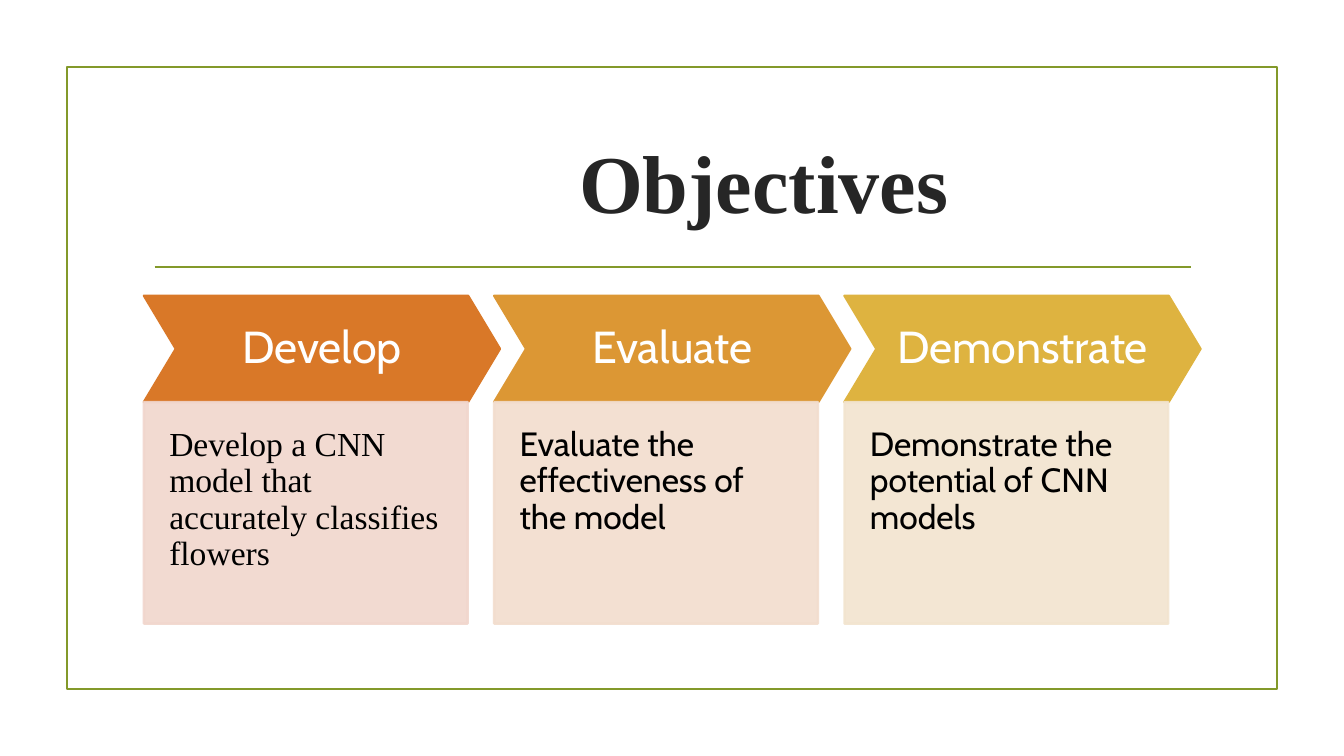
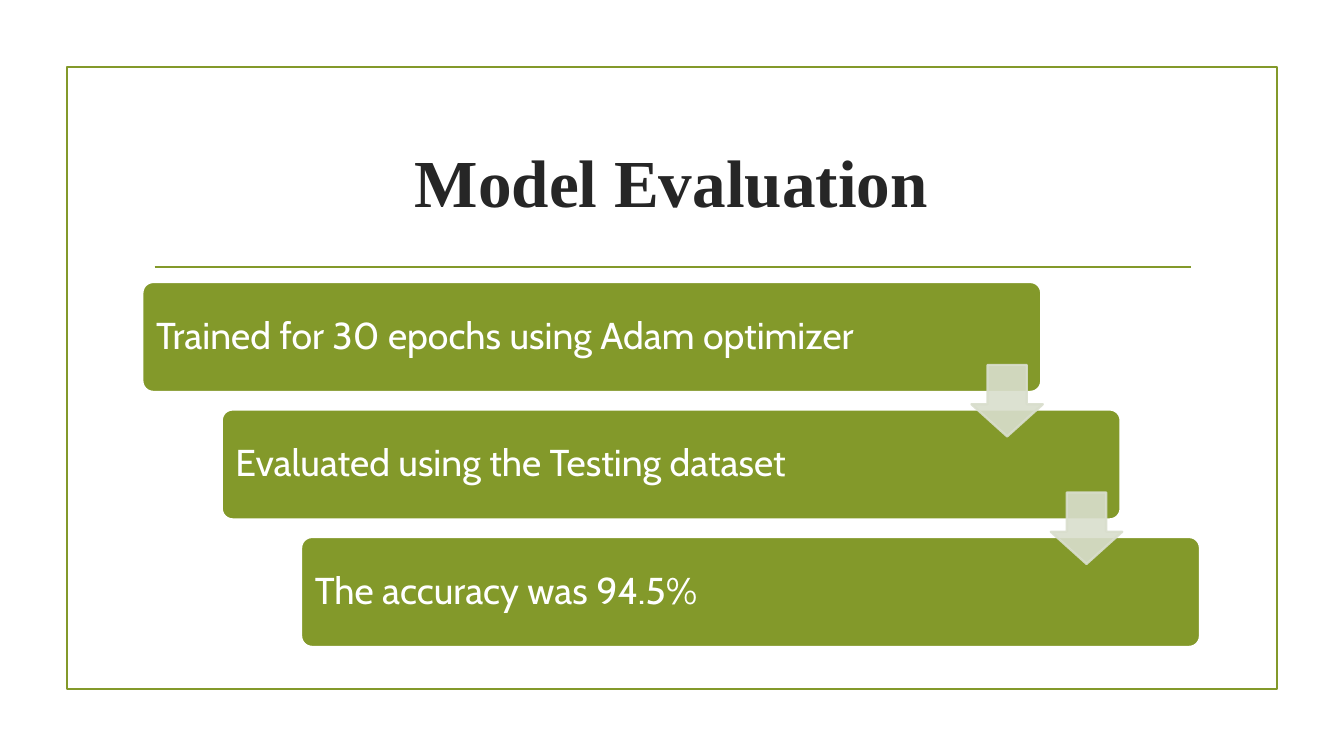
"""Builds two slides: the objectives and the model evaluation."""
from lxml import etree
from pptx import Presentation
from pptx.dml.color import RGBColor
from pptx.enum.shapes import MSO_CONNECTOR, MSO_SHAPE
from pptx.enum.text import MSO_ANCHOR, PP_ALIGN
from pptx.oxml.ns import qn
from pptx.util import Cm, Pt

RECT, ROUND = MSO_SHAPE.RECTANGLE, MSO_SHAPE.ROUNDED_RECTANGLE
CHEVRON, ARROW = MSO_SHAPE.CHEVRON, MSO_SHAPE.DOWN_ARROW
STRAIGHT = MSO_CONNECTOR.STRAIGHT
TOP, MIDDLE = MSO_ANCHOR.TOP, MSO_ANCHOR.MIDDLE
LEFT, CENTER = PP_ALIGN.LEFT, PP_ALIGN.CENTER

GREEN = RGBColor(0x83, 0x99, 0x2A)
DARK = RGBColor(0x26, 0x26, 0x26)
BLACK = RGBColor(0, 0, 0)
WHITE = RGBColor(0xFF, 0xFF, 0xFF)
MIST = RGBColor(0xD9, 0xDE, 0xCD)
RUST, BLUSH = RGBColor(0xD9, 0x78, 0x28), RGBColor(0xF1, 0xD6, 0xCD)
AMBER, PEACH = RGBColor(0xDC, 0x97, 0x34), RGBColor(0xF2, 0xDD, 0xCE)
GOLD, CREAM = RGBColor(0xDE, 0xB3, 0x40), RGBColor(0xF2, 0xE4, 0xCF)
SERIF, SANS = "Times New Roman", "Cabin"
EDGE = Pt(1.25)

GOALS = [
    ("Develop", "Develop a CNN model that accurately classifies flowers",
     SERIF, RUST, BLUSH),
    ("Evaluate", "Evaluate the effectiveness of the model",
     SANS, AMBER, PEACH),
    ("Demonstrate", "Demonstrate the potential of CNN models",
     SANS, GOLD, CREAM),
]
STEPS = [
    "Trained for 30 epochs using Adam optimizer",
    "Evaluated using the Testing dataset",
    "The accuracy was 94.5%",
]


def add_box(slide, kind, box, fill=None, line=None, adjust=(), clear=False):
    shape = slide.shapes.add_shape(kind, *map(Cm, box))
    shape.shadow.inherit = False
    for i, value in enumerate(adjust):
        shape.adjustments[i] = value
    if fill is None:
        shape.fill.background()
    else:
        shape.fill.solid()
        shape.fill.fore_color.rgb = fill
    shape.line.color.rgb = line or fill
    shape.line.width = EDGE
    if clear:
        for color in shape.element.spPr.iter(qn("a:srgbClr")):
            etree.SubElement(color, qn("a:alpha")).set("val", "90000")
    return shape


def style(para, font, size, color, align, bold=False):
    para.alignment = align
    para.font.name, para.font.size = font, Pt(size)
    para.font.color.rgb, para.font.bold = color, bold


def write(shape, text, font, size, color, align, anchor, pads):
    frame = shape.text_frame
    frame.text = text
    frame.word_wrap = True
    frame.vertical_anchor = anchor
    (frame.margin_left, frame.margin_top,
     frame.margin_right, frame.margin_bottom) = map(Cm, pads)
    para = frame.paragraphs[0]
    para.line_spacing = 0.9
    style(para, font, size, color, align)


def add_page(deck, text, size, indent=0.25):
    slide = deck.slides.add_slide(deck.slide_layouts[5])
    title = slide.shapes.title
    title.left, title.top, title.width, title.height = map(
        Cm, (2.69, 2.06, 20, 2.72))
    frame = title.text_frame
    frame.text = text
    frame.vertical_anchor = MIDDLE
    frame.margin_left = Cm(indent)
    style(frame.paragraphs[0], SERIF, size, DARK, CENTER, True)
    border = add_box(slide, RECT, (1.27, 1.27, 22.86, 11.76), line=GREEN)
    rule = slide.shapes.add_connector(
        STRAIGHT, Cm(2.92), Cm(5.05), Cm(22.5), Cm(5.05))
    rule.line.color.rgb, rule.line.width = GREEN, EDGE
    etree.SubElement(rule.element.spPr, qn("a:effectLst"))
    for part in (border, rule):
        title.element.addprevious(part.element)
    return slide


def add_goals(slide):
    for i, (head, body, font, dark, pale) in enumerate(GOALS):
        x = 2.72 + 6.62 * i
        tag = add_box(slide, CHEVRON, (x, 5.59, 6.73, 2.01), dark,
                      adjust=[0.3])
        write(tag, head, SANS, 24, WHITE, CENTER, MIDDLE, [0.25] * 4)
        card = add_box(slide, RECT, (x, 7.6, 6.12, 4.19), pale, clear=True)
        write(card, body, font, 18, BLACK, LEFT, TOP,
              (0.48, 0.48, 0.48, 0.96))


def add_steps(slide):
    right, down = 1.5, 2.41
    for i, text in enumerate(STEPS):
        bar = add_box(slide, ROUND,
                      (2.69 + right * i, 5.33 + down * i, 16.99, 2.08),
                      GREEN, WHITE, [0.1])
        write(bar, text, SANS, 20, WHITE, LEFT, MIDDLE, [0.2] * 4)
    for i in range(len(STEPS) - 1):
        add_box(slide, ARROW,
                (18.36 + right * i, 6.9 + down * i, 1.35, 1.35),
                MIST, adjust=(0.55, 0.45), clear=True)


def main():
    deck = Presentation()
    deck.slide_width, deck.slide_height = Cm(25.4), Cm(14.29)
    add_goals(add_page(deck, "Objectives", 44, indent=3.75))
    add_steps(add_page(deck, "Model Evaluation", 36))
    deck.save("out.pptx")


if __name__ == "__main__":
    main()
